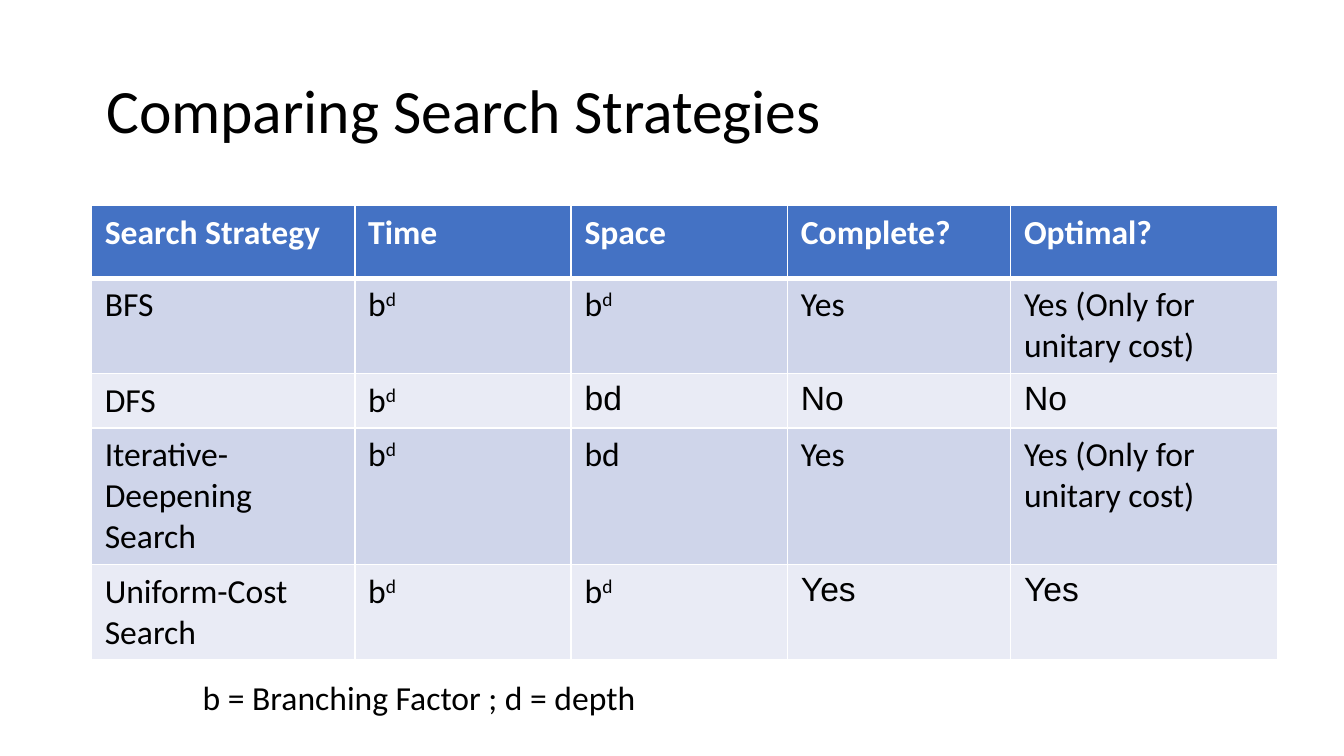
from lxml import etree
from pptx import Presentation
from pptx.dml.color import RGBColor
from pptx.enum.text import MSO_ANCHOR, PP_ALIGN
from pptx.oxml.ns import qn
from pptx.util import Inches, Pt

LEFT = PP_ALIGN.LEFT
MIDDLE = MSO_ANCHOR.MIDDLE
WHITE, BLACK, BLUE = "FFFFFF", "000000", "4472C4"
BANDS = ["CFD5EA", "E9EBF5"]
COLUMNS = [1.96, 1.61, 1.61, 1.66, 1.99]
HEIGHTS = [0.54, 0.33, 0.31, 1, 0.54]
ROWS = [
    ["Search Strategy", "Time", "Space", "Complete?", "Optimal?"],
    ["BFS", "b^d", "b^d", "Yes", "Yes (Only for unitary cost)"],
    ["DFS", "b^d", "bd", "No", "No"],
    ["Iterative-Deepening Search", "b^d", "bd", "Yes", "Yes (Only for unitary cost)"],
    ["Uniform-Cost Search", "b^d", "b^d", "Yes", "Yes"],
]
ARIAL_CELLS = {(2, 2), (2, 3), (2, 4), (4, 3), (4, 4)}


def rgb(value):
    return RGBColor.from_string(value)


def write(tf, text, size=18, font="Calibri", color=BLACK, bold=False, spacing=None):
    tf.word_wrap = True
    p = tf.paragraphs[0]
    p.alignment = LEFT
    p.line_spacing = spacing
    for i, part in enumerate(text.split("^")):
        r = p.add_run()
        r.text = part
        r.font.size = Pt(size)
        r.font.name = font
        r.font.bold = bold
        r.font.color.rgb = rgb(color)
        if i:
            r._r.get_or_add_rPr().set("baseline", "30000")


def set_borders(cell, top, bottom):
    tcPr = cell._tc.get_or_add_tcPr()
    for side, width in (("L", 1), ("R", 1), ("T", top), ("B", bottom)):
        ln = etree.SubElement(tcPr, qn(f"a:ln{side}"), w=str(Pt(width)))
        fill = etree.SubElement(ln, qn("a:solidFill"))
        etree.SubElement(fill, qn("a:srgbClr"), val=WHITE)


def add_title(s, x, y, w, h):
    sp = s.shapes.title
    sp.left, sp.top, sp.width, sp.height = map(Inches, (x, y, w, h))
    tf = sp.text_frame
    tf.vertical_anchor = MIDDLE
    write(tf, "Comparing Search Strategies", size=33, spacing=0.9)


def add_strategy_table(s, x, y, w, h):
    frame = s.shapes.add_table(len(ROWS), len(COLUMNS), *map(Inches, (x, y, w, h)))
    table = frame.table
    for column, width in zip(table.columns, COLUMNS):
        column.width = Inches(width)
    for row, height in zip(table.rows, HEIGHTS):
        row.height = Inches(height)
    frame.width, frame.height = Inches(w), Inches(h)
    for i, texts in enumerate(ROWS):
        header = i == 0
        for j, text in enumerate(texts):
            cell = table.cell(i, j)
            set_borders(cell, top=3 if i == 1 else 1, bottom=3 if header else 1)
            cell.fill.solid()
            cell.fill.fore_color.rgb = rgb(BLUE if header else BANDS[(i - 1) % 2])
            write(cell.text_frame, text, bold=header,
                  color=WHITE if header else BLACK,
                  font="Arial" if (i, j) in ARIAL_CELLS else "Calibri")


def add_legend(s, x, y, w, h):
    sp = s.shapes.add_textbox(*map(Inches, (x, y, w, h)))
    write(sp.text_frame, "b = Branching Factor ; d = depth")


def main():
    prs = Presentation()
    prs.slide_width = Inches(10)
    prs.slide_height = prs.slide_width * 9 // 16
    s = prs.slides.add_slide(prs.slide_layouts[5])
    add_title(s, 0.69, 0.3, 8.62, 1.09)
    add_strategy_table(s, 0.68, 1.53, 8.82, 3.11)
    add_legend(s, 1.41, 4.99, 7.36, 0.4)
    prs.save("out.pptx")


if __name__ == "__main__":
    main()
